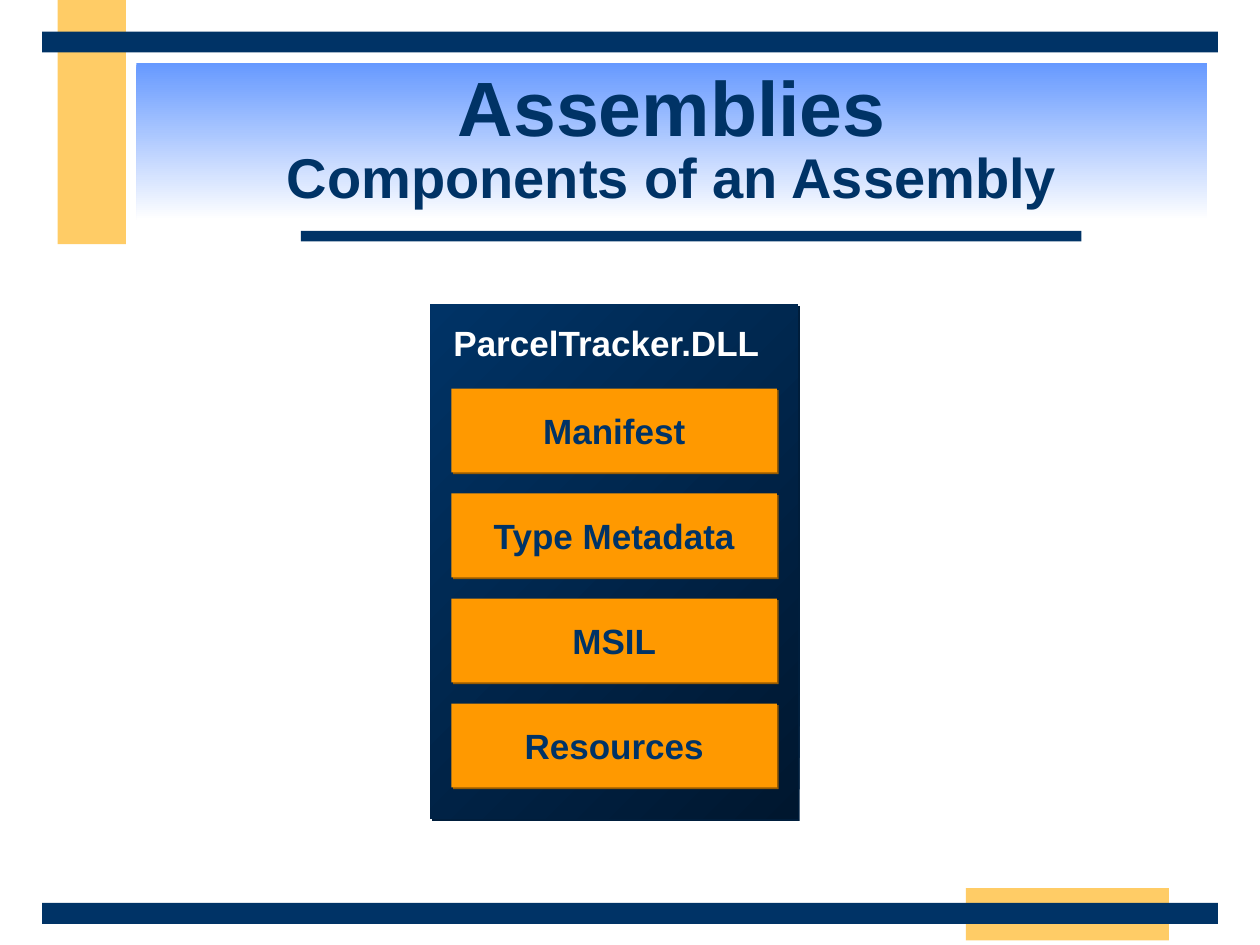
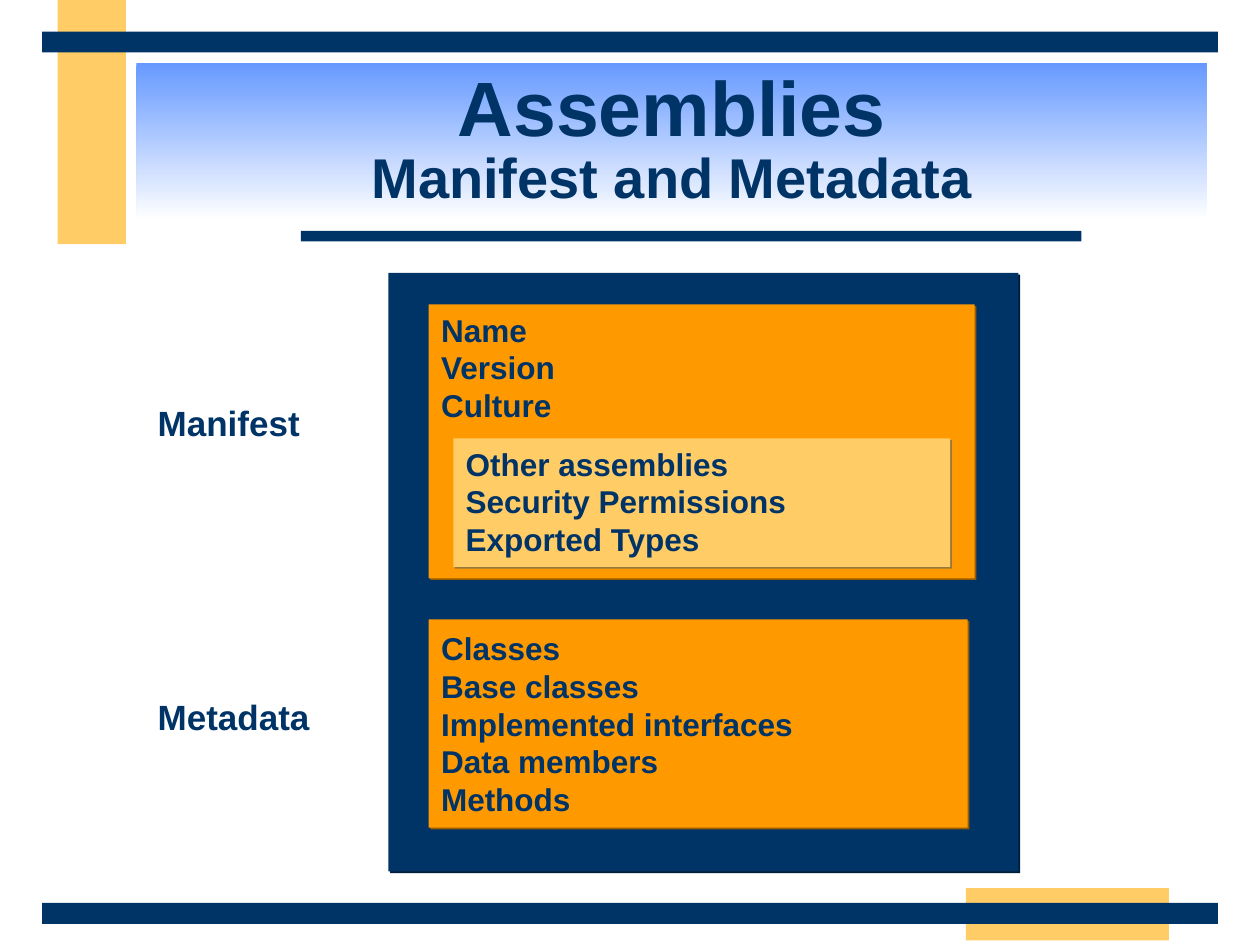
from lxml.etree import SubElement
from pptx import Presentation
from pptx.dml.color import RGBColor
from pptx.enum.shapes import MSO_SHAPE as Preset
from pptx.enum.text import MSO_ANCHOR as Anchor, PP_ALIGN as Align
from pptx.oxml.ns import qn
from pptx.util import Pt

COLOURS = {
    "navy": "003366", "dark navy": "00172F", "orange": "FF9900",
    "sand": "FFCC66", "sky": "6699FF", "white": "FFFFFF",
}
SHADOWS = {"navy": "001E3C", "orange": "985B00", "sand": "98793C"}
FONT = "Arial"

# Boxes are (left, top, width, height) in points.
FRAME = [
    ("sand", (33, 0, 39, 139.5)),
    ("sand", (552, 507.5, 116, 30)),
    ("navy", (172, 132, 446, 6)),
    ("navy", (24, 516, 672, 12)),
    ("navy", (24, 18, 672, 12)),
]
TITLE_BOX = (78, 36, 612, 90)
TITLE = "Assemblies"

COMPONENTS = {
    "subtitle": "Components of an Assembly",
    "file": "ParcelTracker.DLL",
    "parts": ["Manifest", "Type Metadata", "MSIL", "Resources"],
}
CONTENTS = {
    "subtitle": "Manifest and Metadata",
    "labels": [("Manifest", 226), ("Metadata", 394)],
    "blocks": [
        ("orange", (245, 354, 308, 119), Anchor.MIDDLE,
         ["Classes", "Base classes", "Implemented interfaces", "Data members", "Methods"]),
        ("orange", (245, 174, 312, 156.5), Anchor.TOP,
         ["Name", "Version", "Culture"]),
        ("sand", (259, 250.5, 284, 73.5), Anchor.TOP,
         ["Other assemblies", "Security Permissions", "Exported Types"]),
    ],
}


def colour(name):
    return RGBColor.from_string(COLOURS[name])


def add_box(slide, box, fill, shadow=None):
    """Add a borderless rectangle; a pair of fill names and an angle makes a gradient."""
    shape = slide.shapes.add_shape(Preset.RECTANGLE, *map(Pt, box))
    shape.shadow.inherit = False
    shape.line.fill.background()
    if isinstance(fill, str):
        shape.fill.solid()
        shape.fill.fore_color.rgb = colour(fill)
    else:
        *stops, angle = fill
        shape.fill.gradient()
        shape.fill.gradient_angle = angle
        for stop, name in zip(shape.fill.gradient_stops, stops):
            stop.color.rgb = colour(name)
    if shadow:
        effects = shape._element.spPr.find(qn("a:effectLst"))
        outer = SubElement(effects, qn("a:outerShdw"), blurRad="0", dist=str(Pt(1.4)),
                           dir="2700000", algn="ctr", rotWithShape="0")
        SubElement(outer, qn("a:srgbClr"), val=SHADOWS[shadow])
    return shape


def style(font, size, name="navy"):
    font.name, font.size, font.bold = FONT, Pt(size), True
    font.color.rgb = colour(name)


def write(shape, lines, size, align=Align.LEFT, anchor=Anchor.TOP, text_colour="navy"):
    frame = shape.text_frame
    frame.word_wrap = True
    frame.vertical_anchor = anchor
    frame.text = "\n".join(lines)
    for paragraph in frame.paragraphs:
        paragraph.alignment = align
        style(paragraph.font, size, text_colour)


def add_label(slide, text, box, text_colour="navy"):
    write(slide.shapes.add_textbox(*map(Pt, box)), [text], 20, text_colour=text_colour)


def add_framed_slide(presentation, subtitle):
    slide = presentation.slides.add_slide(presentation.slide_layouts[6])
    for fill, box in FRAME:
        add_box(slide, box, fill)
    title = add_box(slide, TITLE_BOX, ("sky", "white", 270))
    title.text_frame.word_wrap = True
    title.text_frame.vertical_anchor = Anchor.MIDDLE
    paragraph = title.text_frame.paragraphs[0]
    paragraph.alignment = Align.CENTER
    paragraph.line_spacing = 0.85
    for text, size in ((TITLE, 44), (subtitle, 32)):
        if paragraph.runs:
            paragraph.add_line_break()
        run = paragraph.add_run()
        run.text = text
        style(run.font, size)
    return slide


def add_components_slide(presentation):
    slide = add_framed_slide(presentation, COMPONENTS["subtitle"])
    add_box(slide, (246, 174, 210, 294), ("dark navy", "navy", 135), "navy")
    add_label(slide, COMPONENTS["file"], (252, 180, 192, 32), "white")
    for row, part in enumerate(COMPONENTS["parts"]):
        box = add_box(slide, (258, 222 + 60 * row, 186, 48), "orange", "orange")
        write(box, [part], 20, Align.CENTER, Anchor.MIDDLE)


def add_contents_slide(presentation):
    slide = add_framed_slide(presentation, CONTENTS["subtitle"])
    add_box(slide, (222, 156, 360, 342), "navy", "navy")
    for fill, box, anchor, lines in CONTENTS["blocks"]:
        write(add_box(slide, box, fill, fill), lines, 18, anchor=anchor)
    for text, top in CONTENTS["labels"]:
        add_label(slide, text, (83, top, 106, 32))


def main():
    presentation = Presentation()
    presentation.slide_width, presentation.slide_height = Pt(720), Pt(540)
    add_components_slide(presentation)
    add_contents_slide(presentation)
    presentation.save("out.pptx")


if __name__ == "__main__":
    main()
